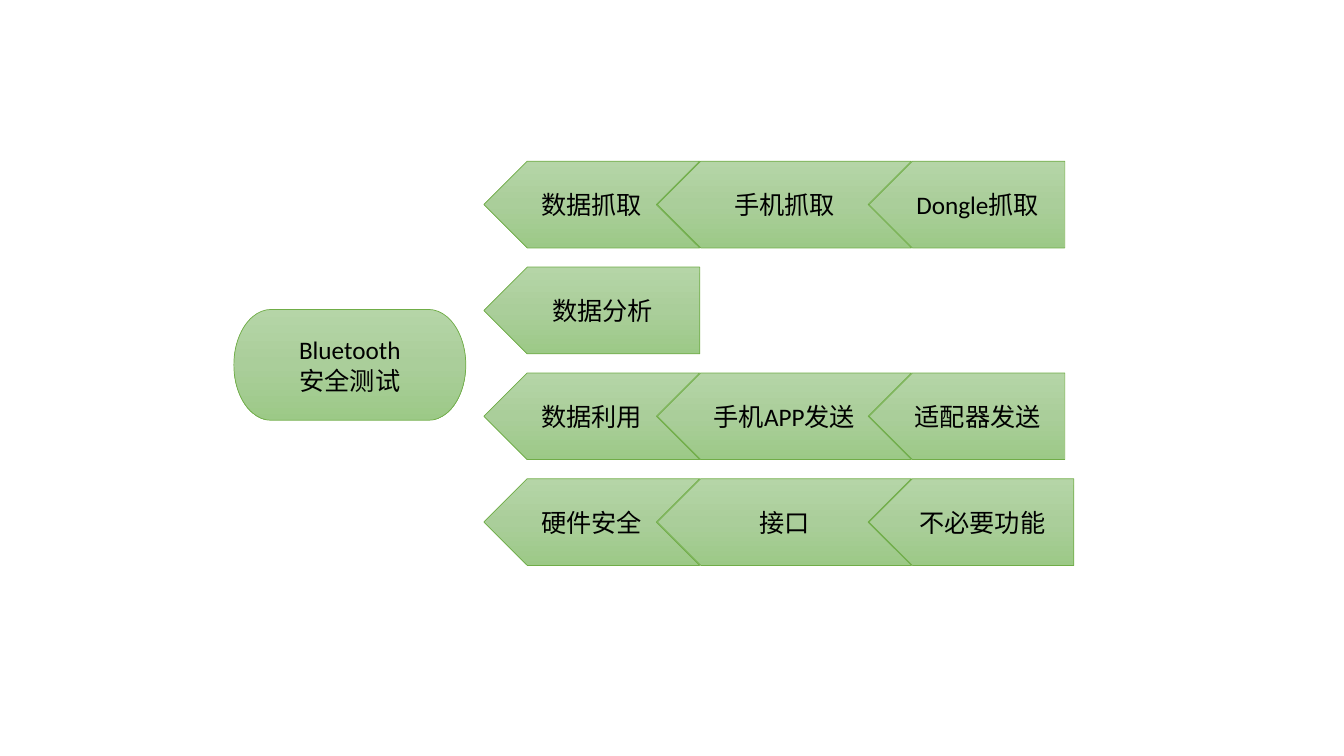
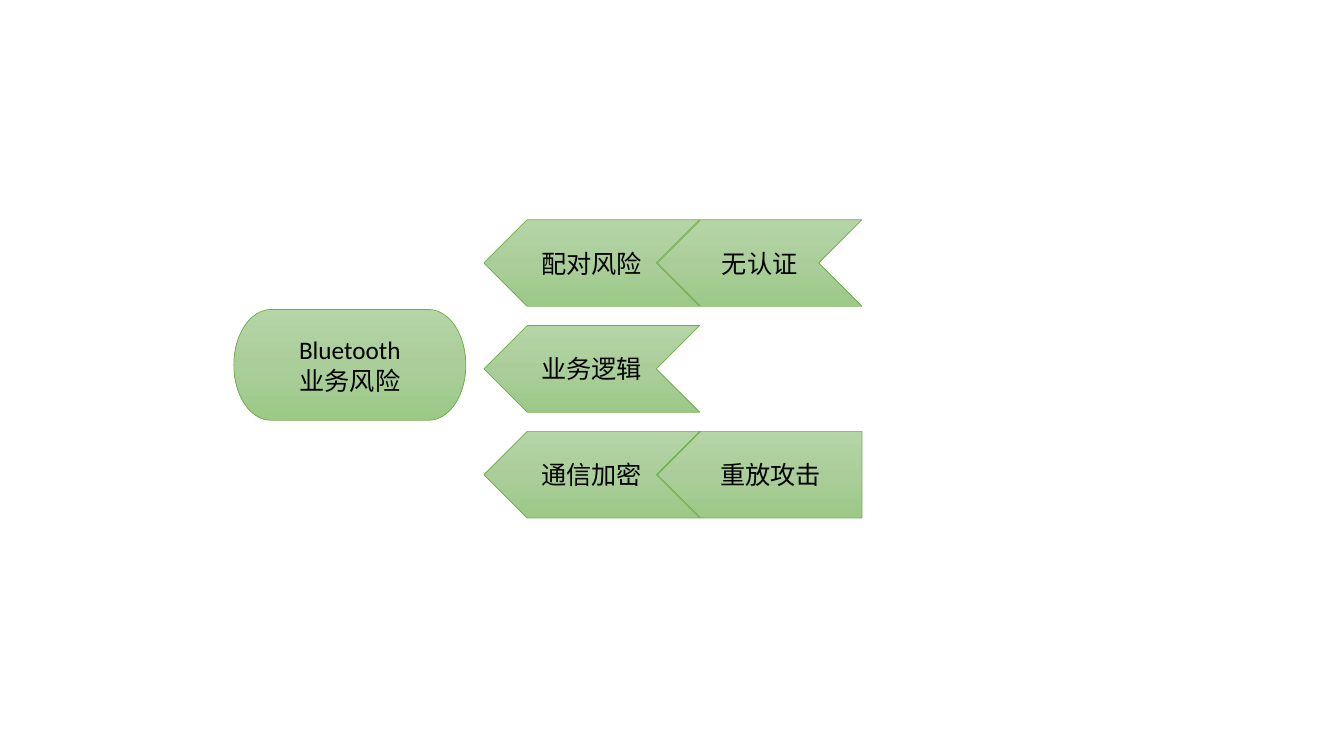
from copy import deepcopy

from pptx import Presentation
from pptx.dml.color import RGBColor
from pptx.enum.shapes import MSO_SHAPE as SHAPE
from pptx.enum.text import MSO_ANCHOR as ANCHOR, PP_ALIGN as ALIGN
from pptx.util import Inches, Pt

GRADIENT = [(0, "B5D5A7"), (0.5, "AACE9A"), (1, "9CC987")]
OUTLINE = "70AD47"
ROOT_BOX = (2.32, 3.07, 2.3, 1.1)
ROWS_LEFT = 4.8
ROW_HEIGHT = 0.86
ROW_PITCH = 1.05
OVERLAP = 0.42
HEAD_WIDTH = 2.14


def rgb(value):
    """Turn a hex string into a colour."""
    return RGBColor.from_string(value)


def add_text(sp, text, size=18, font="Calibri", color="000000",
             align=ALIGN.CENTER, anchor=ANCHOR.MIDDLE):
    """Write one paragraph per line of text in a shape."""
    tf = sp.text_frame
    tf.word_wrap = True
    tf.vertical_anchor = anchor
    for i, line in enumerate(text.split("\n")):
        p = tf.add_paragraph() if i else tf.paragraphs[0]
        p.alignment = align
        r = p.add_run()
        r.text = line
        r.font.size = Pt(size)
        r.font.name = font
        r.font.color.rgb = rgb(color)


def fill_gradient(sp):
    """Fill a shape with the shared top-to-bottom green gradient."""
    sp.fill.gradient()
    stop_list = sp._element.xpath("./p:spPr/a:gradFill/a:gsLst")[0]
    stop_list.insert(1, deepcopy(stop_list[0]))
    for stop, (position, color) in zip(sp.fill.gradient_stops, GRADIENT):
        stop.position = position
        stop.color.rgb = rgb(color)
    sp.fill.gradient_angle = 270


def add_node(s, kind, box, text, flip=False):
    """Add one green labelled shape, optionally pointing left."""
    sp = s.shapes.add_shape(kind, *(Inches(v) for v in box))
    sp.shadow.inherit = False
    fill_gradient(sp)
    sp.line.color.rgb = rgb(OUTLINE)
    sp.line.width = Pt(0.5)
    if flip:
        sp._element.spPr.xfrm.set("flipH", "1")
    add_text(sp, text)


def add_arrow_row(s, left, top, steps, flat_end):
    """Chain left-pointing arrows, the last one flat or notched."""
    for i, (text, width) in enumerate(steps):
        is_last = i == len(steps) - 1
        kind = SHAPE.PENTAGON if is_last and flat_end else SHAPE.CHEVRON
        add_node(s, kind, (left, top, width, ROW_HEIGHT), text, flip=True)
        left += width - OVERLAP


def add_tree_slide(prs, root, top, rows):
    """Add a slide with a root node and evenly spaced arrow rows."""
    s = prs.slides.add_slide(prs.slide_layouts[6])
    add_node(s, SHAPE.FLOWCHART_TERMINATOR, ROOT_BOX, root)
    for i, (head, branches, flat_end) in enumerate(rows):
        steps = [(head, HEAD_WIDTH)] + branches
        add_arrow_row(s, ROWS_LEFT, top + i * ROW_PITCH, steps, flat_end)


TEST_ROWS = [
    ("数据抓取", [("手机抓取", 2.52), ("Dongle抓取", 1.94)], True),
    ("数据分析", [], True),
    ("数据利用", [("手机APP发送", 2.52), ("适配器发送", 1.94)], True),
    ("硬件安全", [("接口", 2.52), ("不必要功能", 2.03)], True),
]
RISK_ROWS = [
    ("配对风险", [("无认证", 2.03)], False),
    ("业务逻辑", [], False),
    ("通信加密", [("重放攻击", 2.03)], True),
]

prs = Presentation()
prs.slide_width, prs.slide_height = Inches(13.33), Inches(7.5)
add_tree_slide(prs, "Bluetooth\n安全测试", 1.6, TEST_ROWS)
add_tree_slide(prs, "Bluetooth\n业务风险", 2.18, RISK_ROWS)
prs.save("out.pptx")
